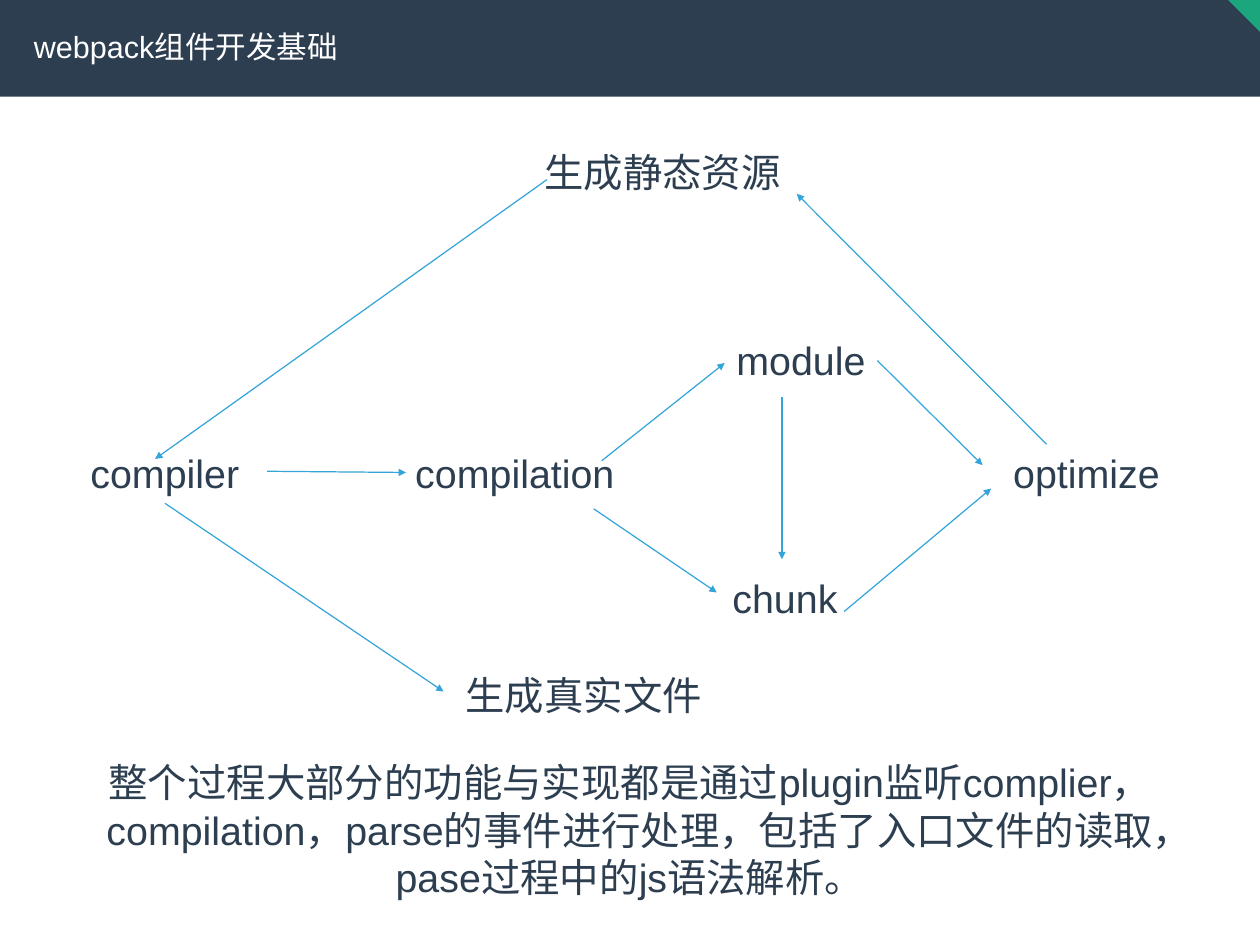
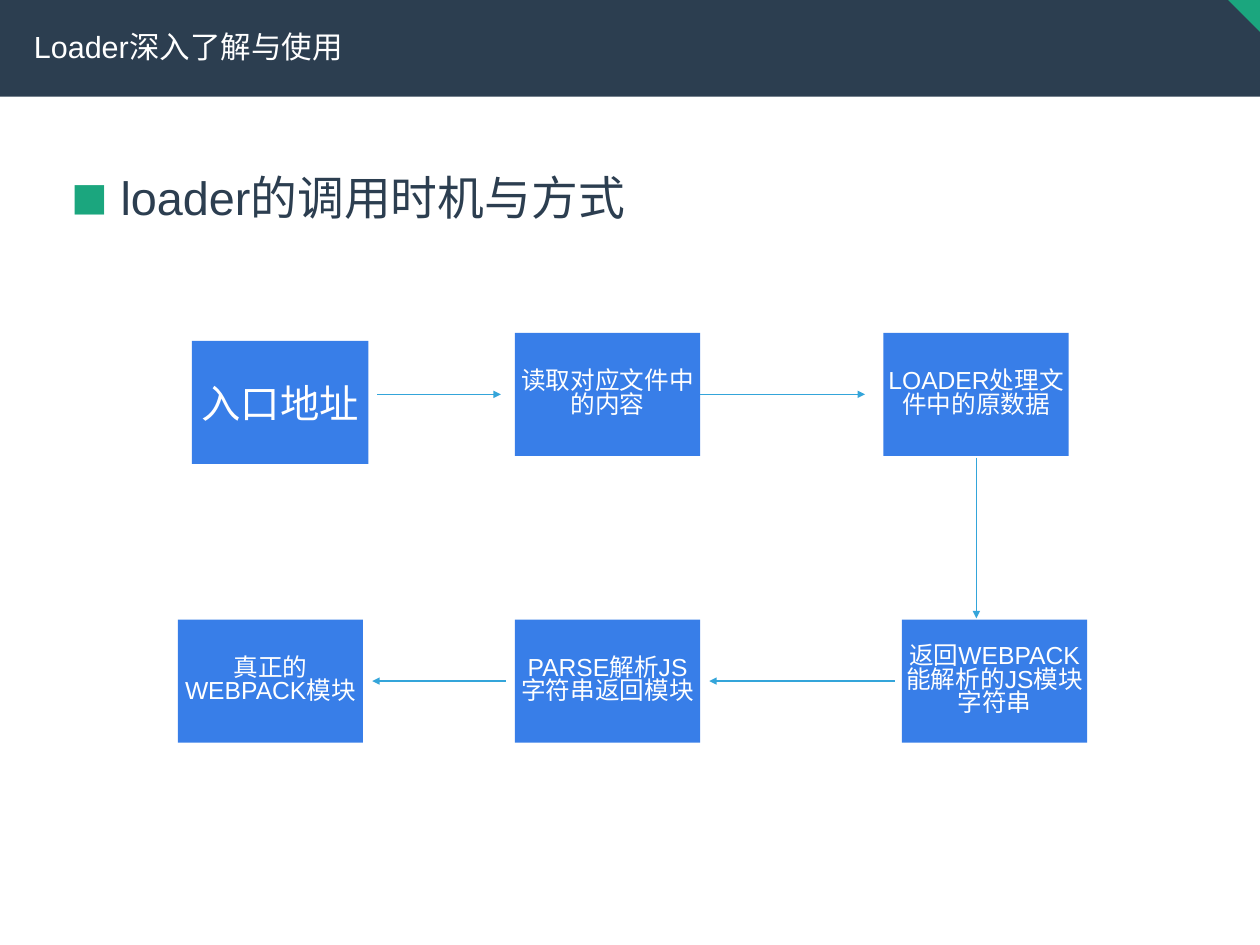
from lxml import etree
from pptx import Presentation
from pptx.dml.color import RGBColor
from pptx.enum.shapes import MSO_CONNECTOR, MSO_SHAPE
from pptx.enum.text import MSO_ANCHOR, MSO_AUTO_SIZE, PP_ALIGN
from pptx.oxml.ns import qn
from pptx.util import Pt

NAVY = RGBColor(0x2C, 0x3E, 0x50)
GREEN = RGBColor(0x1B, 0xA6, 0x7E)
BLUE = RGBColor(0x38, 0x7E, 0xE8)
SKY = RGBColor(0x34, 0xA5, 0xDA)
WHITE = RGBColor(0xFF, 0xFF, 0xFF)
FONT = "Arial"
LEFT, CENTER = PP_ALIGN.LEFT, PP_ALIGN.CENTER
TOP, MIDDLE = MSO_ANCHOR.TOP, MSO_ANCHOR.MIDDLE
FIXED, GROW = MSO_AUTO_SIZE.NONE, MSO_AUTO_SIZE.SHAPE_TO_FIT_TEXT
RECTANGLE, TRIANGLE = MSO_SHAPE.RECTANGLE, MSO_SHAPE.RIGHT_TRIANGLE
STRAIGHT = MSO_CONNECTOR.STRAIGHT
WIDTH, HEIGHT = 1024, 768


def write(box, text, size=32, color=NAVY, align=CENTER, anchor=MIDDLE,
          before=0, spacing=1.0, wrap=True, fit=FIXED):
    frame = box.text_frame
    frame.word_wrap = wrap
    frame.auto_size = fit
    frame.vertical_anchor = anchor
    frame.margin_left = frame.margin_right = Pt(3)
    frame.margin_top = frame.margin_bottom = Pt(3)
    para = frame.paragraphs[0]
    para.alignment = align
    para.space_before = Pt(before)
    para.line_spacing = spacing
    span = para.add_run()
    span.text = text
    span.font.name = FONT
    span.font.size = Pt(size)
    span.font.color.rgb = color
    return para


def draw_arrows(page, arrows):
    for ends in arrows:
        arrow = page.shapes.add_connector(STRAIGHT, *map(Pt, ends))
        arrow.line.color.rgb = SKY
        arrow.line.width = Pt(1)
        etree.SubElement(arrow.line._get_or_add_ln(), qn("a:tailEnd"), type="triangle")
        etree.SubElement(arrow.element.spPr, qn("a:effectLst"))


deck = Presentation()
deck.slide_width, deck.slide_height = Pt(WIDTH), Pt(HEIGHT)
layout = deck.slide_layouts[5]

# Pages with their titles
pages = []
for heading in ("webpack组件开发基础", "Loader深入了解与使用"):
    page = deck.slides.add_slide(layout)
    title = page.shapes.title
    title.left, title.top, title.width, title.height = Pt(24.5), Pt(18), Pt(975.5), Pt(40)
    write(title, heading, size=24.8, color=WHITE, align=LEFT)
    pages.append(page)
flow_page, loader_page = pages

# Header band and corner, moved to the layout so that both pages share them
for position, (kind, color, left, top, width, height, turn) in enumerate((
        (RECTANGLE, NAVY, 0, 0, WIDTH, 78.5, 0),
        (TRIANGLE, GREEN, WIDTH - 26, 0, 26, 26, 180))):
    part = flow_page.shapes.add_shape(kind, Pt(left), Pt(top), Pt(width), Pt(height))
    part.rotation = turn
    part.shadow.inherit = False
    part.fill.solid()
    part.fill.fore_color.rgb = color
    part.line.fill.background()
    layout.shapes.element.insert(2 + position, part.element)

# Build flow: labels
for text, left, top, width in (
        ("compiler", 66, 358.5, 136),
        ("compilation", 329, 358.5, 179),
        ("module", 591, 266.5, 120),
        ("chunk", 588, 460, 100),
        ("optimize", 816, 358.5, 134),
        ("生成静态资源", 439, 114, 199),
        ("生成真实文件", 375, 539, 199)):
    label = flow_page.shapes.add_textbox(Pt(left), Pt(top), Pt(width), Pt(51))
    write(label, text, before=24, wrap=False, fit=GROW)

# Build flow: arrows
draw_arrows(flow_page, (
    (217, 383, 330, 384),
    (489, 374.5, 589, 295),
    (482.5, 413.5, 582.5, 481.5),
    (635.5, 323, 635.5, 454.5),
    (713, 293, 798.5, 378),
    (686, 497, 805.5, 397),
    (850.5, 361, 647.5, 157.5),
    (444.5, 146, 126, 373),
    (134, 409, 360.5, 562)))

# Build flow: summary
summary = flow_page.shapes.add_textbox(Pt(69), Pt(603.5), Pt(886), Pt(141))
write(summary, "整个过程大部分的功能与实现都是通过plugin监听complier，compilation，"
      "parse的事件进行处理，包括了入口文件的读取，pase过程中的js语法解析。",
      before=24, fit=GROW)

# Loader steps: bulleted heading
topic = loader_page.shapes.add_textbox(Pt(55), Pt(134.5), Pt(736.5), Pt(80))
para = write(topic, "loader的调用时机与方式", size=38, align=LEFT, anchor=TOP, before=14)
props = para._p.get_or_add_pPr()
props.set("marL", str(Pt(40)))
props.set("indent", str(-Pt(40)))
bullet_color = etree.SubElement(props, qn("a:buClr"))
etree.SubElement(bullet_color, qn("a:srgbClr"), val=str(GREEN))
etree.SubElement(props, qn("a:buSzPct"), val="130000")
etree.SubElement(props, qn("a:buFont"), typeface=FONT)
etree.SubElement(props, qn("a:buChar"), char="■")

# Loader steps: boxes
UPPER, LOWER = 270.5, 503.5
for text, left, top, width, size, spacing in (
        ("入口地址", 156, 277, 143.5, 32, 1.0),
        ("读取对应文件中的内容", 418.5, UPPER, 150.5, 20, 0.8),
        ("LOADER处理文件中的原数据", 718, UPPER, 150.5, 20, 0.8),
        ("返回WEBPACK能解析的JS模块字符串", 733, LOWER, 150.5, 20, 0.8),
        ("PARSE解析JS字符串返回模块", 418.5, LOWER, 150.5, 20, 0.8),
        ("真正的WEBPACK模块", 144.5, LOWER, 150.5, 20, 0.8)):
    step = loader_page.shapes.add_shape(RECTANGLE, Pt(left), Pt(top), Pt(width), Pt(100))
    step.shadow.inherit = False
    step.fill.solid()
    step.fill.fore_color.rgb = BLUE
    step.line.fill.background()
    write(step, text, size=size, color=WHITE, spacing=spacing)

# Loader steps: arrows
upper_middle, lower_middle = UPPER + 50, LOWER + 50
draw_arrows(loader_page, (
    (306.5, upper_middle, 407, upper_middle),
    (568.5, upper_middle, 703, upper_middle),
    (793.5, 372, 793.5, 502.5),
    (727, lower_middle, 576.5, lower_middle),
    (411, lower_middle, 302.5, lower_middle)))

deck.save("out.pptx")
